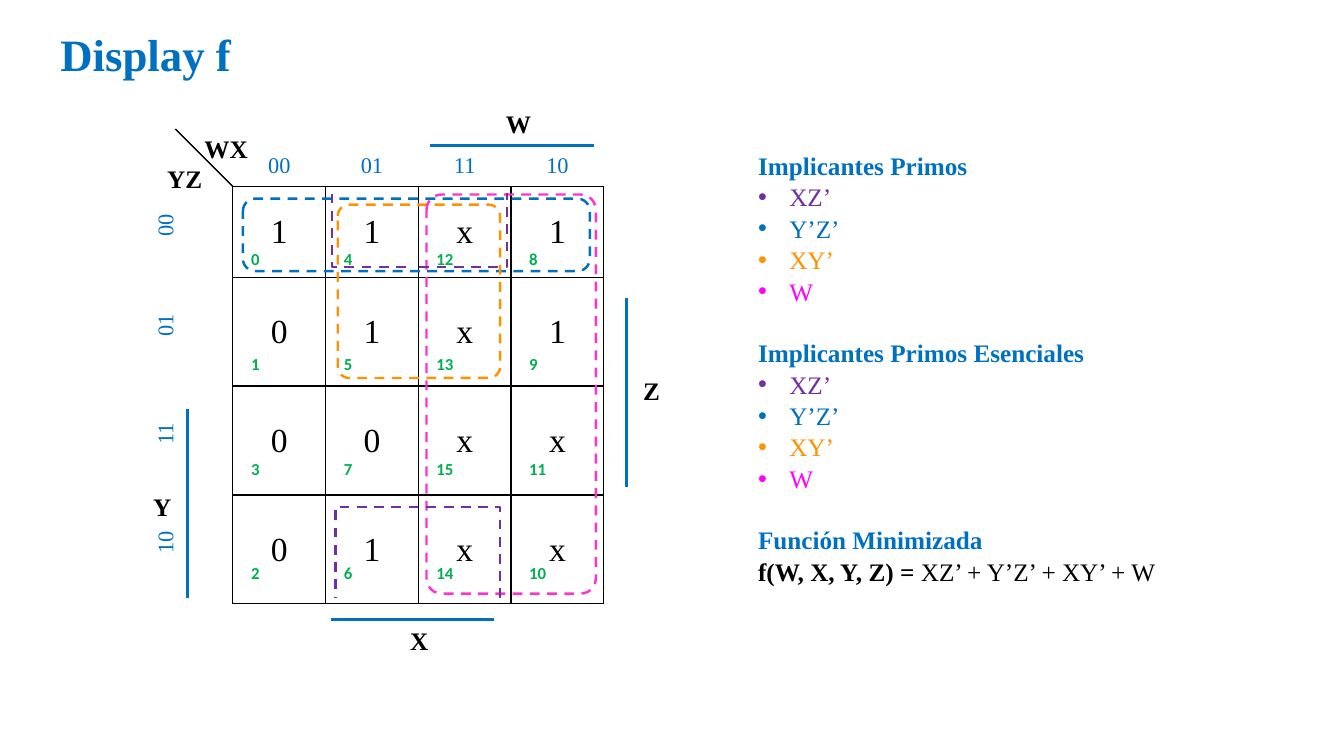
from dataclasses import dataclass
from lxml.etree import SubElement
from pptx import Presentation
from pptx.dml.color import RGBColor
from pptx.enum.dml import MSO_LINE
from pptx.enum.shapes import MSO_CONNECTOR, MSO_SHAPE
from pptx.enum.text import MSO_ANCHOR, MSO_AUTO_SIZE, PP_ALIGN
from pptx.oxml.ns import qn
from pptx.util import Inches, Pt


@dataclass(frozen=True)
class Theme:
    """Colours, fonts and sizes of the slide."""
    blue: str = "0070C0"
    black: str = "000000"
    green: str = "00B050"
    purple: str = "7030A0"
    orange: str = "FF9201"
    magenta: str = "FF00FF"
    pink: str = "FF33CC"
    serif: str = "Times New Roman"
    sans: str = "Calibri"
    title: int = 32
    value: int = 24
    body: int = 18
    code: int = 16
    index: int = 12
    thin: float = 1
    loop: float = 1.75
    bar: float = 2.25


T = Theme()
GRAY = ["00", "01", "11", "10"]
MINTERMS = ["11x1", "01x1", "00xx", "01xx"]
PRIMES = [("XZ’", T.purple), ("Y’Z’", T.blue), ("XY’", T.orange), ("W", T.magenta)]
NO_STYLE = "{2D5ABB26-0587-4C30-8999-92F81FD0307C}"


def add_run(p, text, size=T.body, color=T.black, bold=False, name=T.serif):
    """Add a formatted run to a paragraph."""
    r = p.add_run()
    r.text = text
    for key, value in {"size": Pt(size), "bold": bold, "name": name}.items():
        setattr(r.font, key, value)
    r.font.color.rgb = RGBColor.from_string(color)


def add_text(s, x, y, w, h, wrap=False):
    """Add a text box and return its text frame."""
    tf = s.shapes.add_textbox(*map(Inches, (x, y, w, h))).text_frame
    tf.word_wrap = wrap
    tf.auto_size = MSO_AUTO_SIZE.SHAPE_TO_FIT_TEXT
    return tf


def style_line(sp, color, width, dash=None):
    """Set colour, width and dash of an outline."""
    sp.line.color.rgb = RGBColor.from_string(color)
    sp.line.width = Pt(width)
    if dash:
        sp.line.dash_style = dash


def add_line(s, start, end, color, width, kind=MSO_CONNECTOR.STRAIGHT, dash=None):
    """Add a connector without shadow."""
    sp = s.shapes.add_connector(kind, *map(Inches, (*start, *end)))
    style_line(sp, color, width, dash)
    SubElement(sp._element.spPr, qn("a:effectLst"))
    return sp


def add_elbow(s, start, end, bend):
    """Add a dashed elbow that turns at its start (0) or its end (1)."""
    sp = add_line(s, start, end, T.purple, T.loop, MSO_CONNECTOR.ELBOW, MSO_LINE.DASH)
    guides = sp._element.spPr.find(qn("a:prstGeom")).get_or_add_avLst()
    SubElement(guides, qn("a:gd"), name="adj1", fmla=f"val {bend * 100000}")


def add_loop(s, x, y, w, h, round_by, color):
    """Add a dashed rounded loop around adjacent cells."""
    sp = s.shapes.add_shape(MSO_SHAPE.ROUNDED_RECTANGLE, *map(Inches, (x, y, w, h)))
    sp.adjustments[0] = round_by
    sp.shadow.inherit = False
    sp.fill.background()
    style_line(sp, color, T.loop, MSO_LINE.DASH)


def add_grid(s, x, y, widths, heights):
    """Add a table without style and return it."""
    box = map(Inches, (x, y, sum(widths), sum(heights)))
    tbl = s.shapes.add_table(len(heights), len(widths), *box).table
    tbl.first_row = tbl.horz_banding = False
    tbl._tbl.tblPr.find(qn("a:tableStyleId")).text = NO_STYLE
    for col, width in zip(tbl.columns, widths):
        col.width = Inches(width)
    for row, height in zip(tbl.rows, heights):
        row.height = Inches(height)
    return tbl


def fill_cell(cell, text, insets, anchor, align, sides="", **font):
    """Write a transparent cell with its insets and black borders."""
    for side, inset in zip(("left", "top", "right", "bottom"), insets):
        setattr(cell, f"margin_{side}", Inches(inset))
    cell.vertical_anchor = anchor
    tcPr = cell._tc.get_or_add_tcPr()
    for side in sides:
        ln = SubElement(tcPr, qn(f"a:ln{side}"), w=str(Pt(T.thin)))
        SubElement(SubElement(ln, qn("a:solidFill")), qn("a:srgbClr"), val=T.black)
    cell.fill.background()
    p = cell.text_frame.paragraphs[0]
    p.alignment = align
    add_run(p, text, **font)


def add_index_grid(s, x, y):
    """Place the minterm number in each cell of the map."""
    tbl = add_grid(s, x, y, [0.92] * 5, [1.04] * 5)
    for i, yz in enumerate(GRAY, 1):
        for j, wx in enumerate(GRAY, 1):
            fill_cell(tbl.cell(i, j), str(int(wx + yz, 2)), (0.25, 0.13, 0.25, 0.13),
                      MSO_ANCHOR.BOTTOM, PP_ALIGN.LEFT, size=T.index,
                      color=T.green, bold=True, name=T.sans)


def add_value_grid(s, x, y):
    """Place the Gray codes and the values of the function."""
    tbl = add_grid(s, x, y, [0.92] * 5, [0.55, 0.9] + [1.08] * 3)
    code = {"size": T.code, "color": T.blue}
    for i, (gray, values) in enumerate(zip(GRAY, MINTERMS), 1):
        fill_cell(tbl.cell(0, i), gray, (0.25, 0.13, 0.25, 0.08),
                  MSO_ANCHOR.BOTTOM, PP_ALIGN.CENTER, "B", **code)
        side = tbl.cell(i, 0)
        fill_cell(side, gray, (0.25, 0.13, 0.12, 0.13),
                  MSO_ANCHOR.BOTTOM, PP_ALIGN.CENTER, "R", **code)
        side._tc.tcPr.set("vert", "vert270")
        for j, value in enumerate(values, 1):
            fill_cell(tbl.cell(i, j), value, (0.01, 0.01, 0.01, 0),
                      MSO_ANCHOR.MIDDLE, PP_ALIGN.CENTER, "LRTB", size=T.value)


def add_karnaugh_map(s, x, y):
    """Draw the map, its variables and its groups from the given corner."""
    def at(dx, dy):
        return x + dx, y + dy

    add_index_grid(s, *at(-0.07, -0.57))
    add_value_grid(s, x, y)
    add_line(s, at(0.92, 0.55), at(0.35, -0.02), T.black, T.thin)
    for name, dx, dy, w in [("WX", 0.54, -0.03, 0.64), ("YZ", 0.17, 0.27, 0.55),
                            ("Z", 4.89, 2.37, 0.37), ("X", 2.58, 4.85, 0.38),
                            ("Y", 0.03, 3.53, 0.38), ("W", 3.53, -0.27, 0.45)]:
        add_run(add_text(s, *at(dx, dy), w, 0.4).paragraphs[0], name, bold=True)
    for dx, dy, w, h in [(1.89, 4.85, 1.62, 0), (4.82, 1.66, 0, 1.87),
                         (0.47, 2.76, 0, 1.87), (2.88, 0.14, 1.62, 0)]:
        add_line(s, at(dx, dy), at(dx + w, dy + h), T.blue, T.bar)
    for dx, dy, *size, color in [(1.02, 0.67, 3.44, 0.72, 0.17, T.blue),
                                 (1.96, 0.73, 1.61, 1.72, 0.07, T.orange),
                                 (2.84, 0.63, 1.68, 3.96, 0.09, T.pink)]:
        add_loop(s, *at(dx, dy), *size, color)
    for start, end, bend in [((1.9, 0.62), (2.69, 1.35), 0),
                             ((2.77, 1.35), (3.64, 0.62), 1),
                             ((2.76, 3.73), (1.94, 4.63), 1),
                             ((2.84, 3.73), (3.57, 4.63), 1)]:
        add_elbow(s, at(*start), at(*end), bend)


def add_implicants(s, x, y, w, h):
    """List the prime implicants and the minimised function."""
    tf = add_text(s, x, y, w, h, wrap=True)
    p = tf.paragraphs[0]
    for heading in ("Implicantes Primos", "Implicantes Primos Esenciales"):
        add_run(p, heading, color=T.blue, bold=True)
        for term, color in PRIMES:
            p = tf.add_paragraph()
            add_run(p, term, color=color)
            pPr = p._p.get_or_add_pPr()
            pPr.set("marL", str(Inches(0.31)))
            pPr.set("indent", str(Inches(-0.31)))
            SubElement(pPr, qn("a:buFont"), typeface="Arial")
            SubElement(pPr, qn("a:buChar"), char="•")
        p = tf.add_paragraph()
        p.space_before = Pt(21.5)
    add_run(p, "Función Minimizada", color=T.blue, bold=True)
    p = tf.add_paragraph()
    add_run(p, "f(W, X, Y, Z) = ", bold=True)
    add_run(p, "XZ’ + Y’Z’ + XY’ + W")
    for p in tf.paragraphs:
        p.line_spacing = 1.04


def main():
    """Build and save the slide."""
    prs = Presentation()
    prs.slide_width, prs.slide_height = Inches(13.33), Inches(7.5)
    s = prs.slides.add_slide(prs.slide_layouts[6])
    add_karnaugh_map(s, 1.39, 1.3)
    add_implicants(s, 7.42, 1.43, 4.23, 4.64)
    title = add_text(s, 0.5, 0.22, 1.91, 0.64)
    add_run(title.paragraphs[0], "Display f", size=T.title, color=T.blue, bold=True)
    prs.save("out.pptx")


if __name__ == "__main__":
    main()
